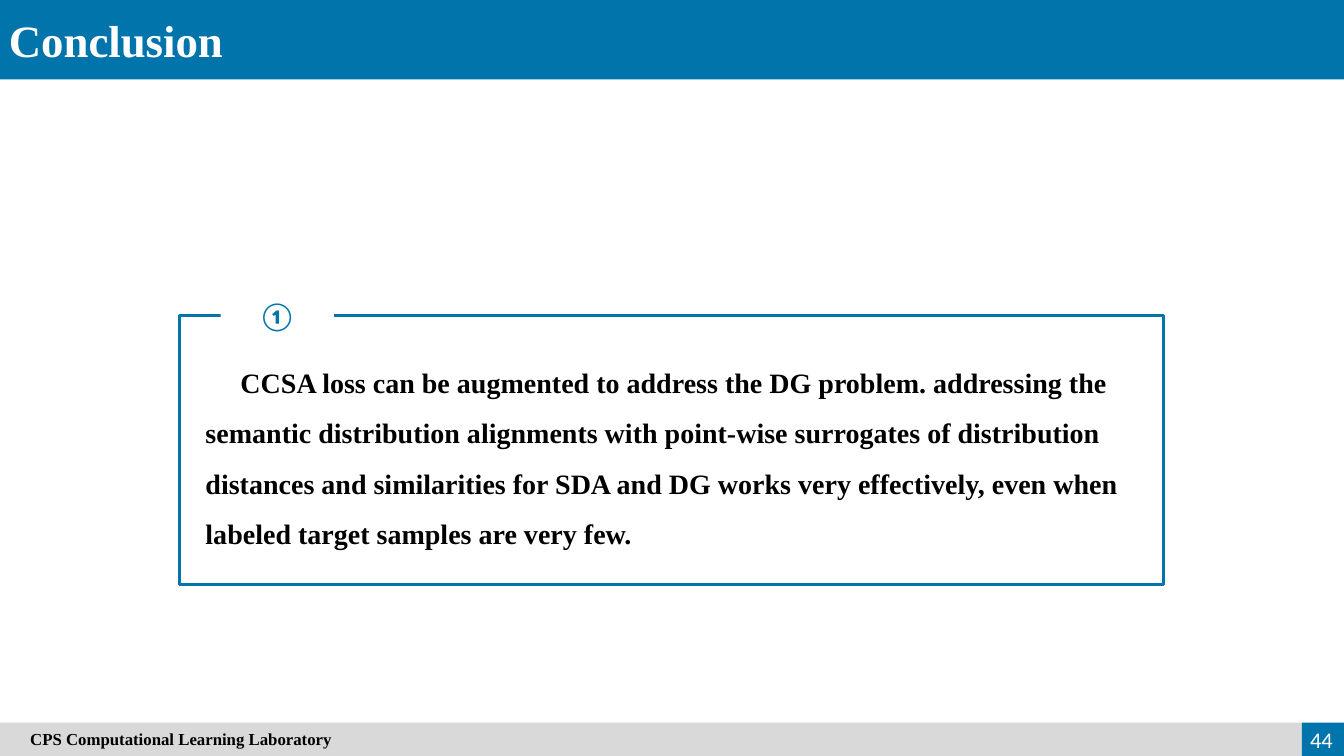
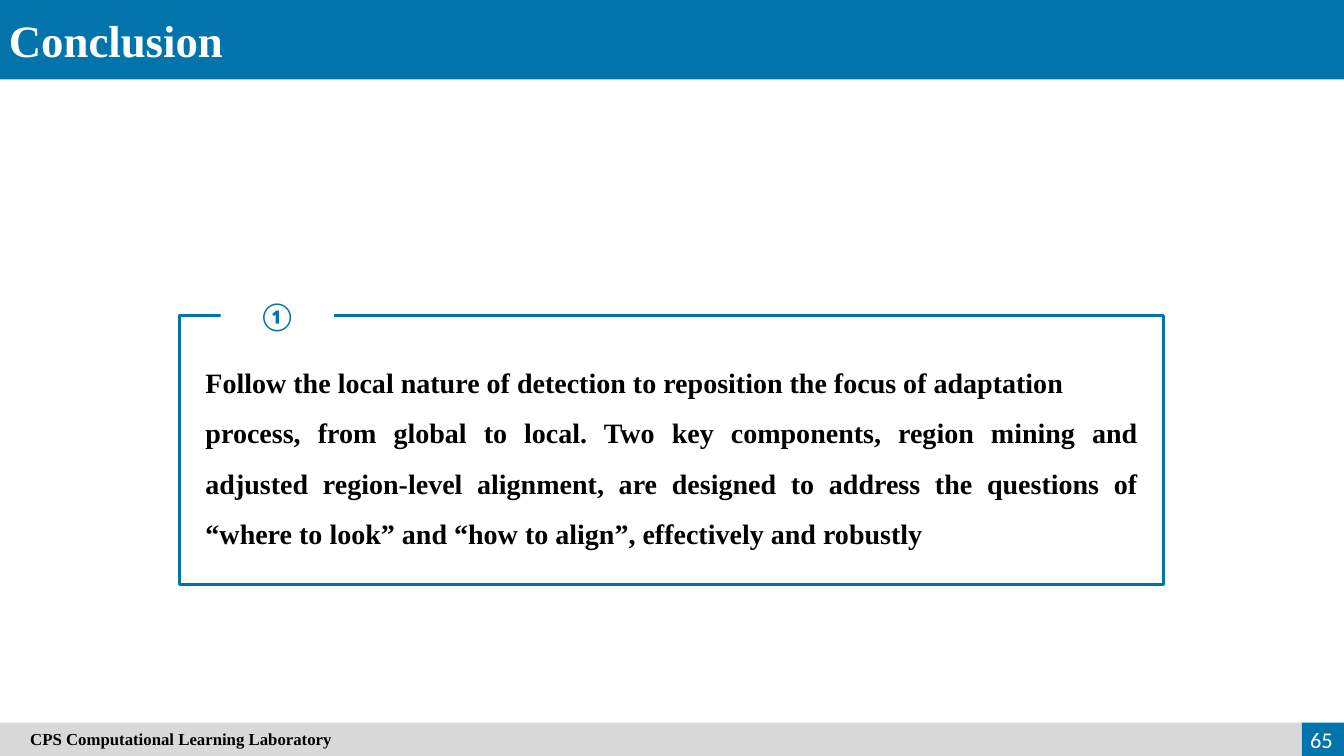
import dataclasses

import pptx
import pptx.dml.color
import pptx.enum.shapes
import pptx.enum.text
import pptx.util

Pt = pptx.util.Pt
Align = pptx.enum.text.PP_ALIGN
Anchor = pptx.enum.text.MSO_ANCHOR


@dataclasses.dataclass(frozen=True)
class Theme:
    width: float = 960
    height: float = 540
    blue: str = "0174AB"
    grey: str = "D9D9D9"
    white: str = "FFFFFF"
    black: str = "000000"
    serif: str = "Times New Roman"
    sans: str = "Calibri"
    title_size: float = 32
    body_size: float = 20
    number_size: float = 16
    footer_size: float = 12
    frame_line: float = 2.25


THEME = Theme()


def color(value):
    return pptx.dml.color.RGBColor.from_string(value)


def write_text(shape, text, *, size, fill=THEME.black, font=THEME.serif, bold=True,
               align=Align.LEFT, anchor=Anchor.TOP, spacing=None, indent=0, margin_left=7.2):
    frame = shape.text_frame
    frame.word_wrap = True
    frame.vertical_anchor = anchor
    frame.margin_left = Pt(margin_left)
    frame.text = text
    for paragraph in frame.paragraphs:
        paragraph.alignment = align
        paragraph.line_spacing = spacing
        if indent:
            paragraph._p.get_or_add_pPr().set("indent", str(Pt(indent)))
        for run in paragraph.runs:
            run.font.name = font
            run.font.size = Pt(size)
            run.font.bold = bold
            run.font.color.rgb = color(fill)


def add_rectangle(slide, left, top, width, height, fill=None, line=None):
    shape = slide.shapes.add_shape(pptx.enum.shapes.MSO_SHAPE.RECTANGLE,
                                   Pt(left), Pt(top), Pt(width), Pt(height))
    shape.shadow.inherit = False
    if fill:
        shape.fill.solid()
        shape.fill.fore_color.rgb = color(fill)
    else:
        shape.fill.background()
    if line:
        shape.line.color.rgb = color(line)
        shape.line.width = Pt(THEME.frame_line)
    else:
        shape.line.fill.background()
    return shape


def add_text(slide, text, left, top, width, height, **text_format):
    shape = slide.shapes.add_textbox(Pt(left), Pt(top), Pt(width), Pt(height))
    write_text(shape, text, **text_format)


def add_title(slide, title):
    add_rectangle(slide, 0, 0, THEME.width, 56.7, fill=THEME.blue)
    add_text(slide, title, -0.7, 5.8, 386.6, 46, size=THEME.title_size, fill=THEME.white)


def add_footer(slide, number):
    top, split = 516.2, 929.7
    add_rectangle(slide, split, top, THEME.width - split, THEME.height - top, fill=THEME.blue)
    band = add_rectangle(slide, 0, top, split, THEME.height - top, fill=THEME.grey)
    write_text(band, "CPS Computational Learning Laboratory", size=THEME.footer_size,
               anchor=Anchor.MIDDLE, margin_left=21.6)
    add_text(slide, str(number), 913.7, 513.6, 45.4, 28.8, size=THEME.number_size,
             fill=THEME.white, font=THEME.sans, bold=False, align=Align.RIGHT,
             anchor=Anchor.MIDDLE)


def add_numbered_frame(slide, label, text, **text_format):
    add_rectangle(slide, 128.2, 225.4, 703, 192, line=THEME.blue)
    badge = add_rectangle(slide, 157.6, 205.4, 81, 39.6, fill=THEME.white)
    write_text(badge, label, size=THEME.body_size, fill=THEME.blue, font=THEME.sans,
               align=Align.CENTER, anchor=Anchor.MIDDLE)
    add_text(slide, text, 139.7, 245.5, 680.4, 148.3, size=THEME.body_size,
             spacing=1.5, **text_format)


def add_conclusion(presentation, number, text, **text_format):
    slide = presentation.slides.add_slide(presentation.slide_layouts[6])
    add_title(slide, "Conclusion")
    add_numbered_frame(slide, "①", text, **text_format)
    add_footer(slide, number)


def main():
    presentation = pptx.Presentation()
    presentation.slide_width = Pt(THEME.width)
    presentation.slide_height = Pt(THEME.height)
    add_conclusion(
        presentation, 44,
        "CCSA loss can be augmented to address the DG problem. addressing the semantic "
        "distribution alignments with point-wise surrogates of distribution distances and "
        "similarities for SDA and DG works very effectively, even when labeled target "
        "samples are very few.",
        indent=25)
    add_conclusion(
        presentation, 65,
        "Follow the local nature of detection to reposition the focus of adaptation\n"
        "process, from global to local. Two key components, region mining and adjusted "
        "region-level alignment, are designed to address the questions of “where to look” "
        "and “how to align”, effectively and robustly",
        align=Align.JUSTIFY)
    presentation.save("out.pptx")


if __name__ == "__main__":
    main()
